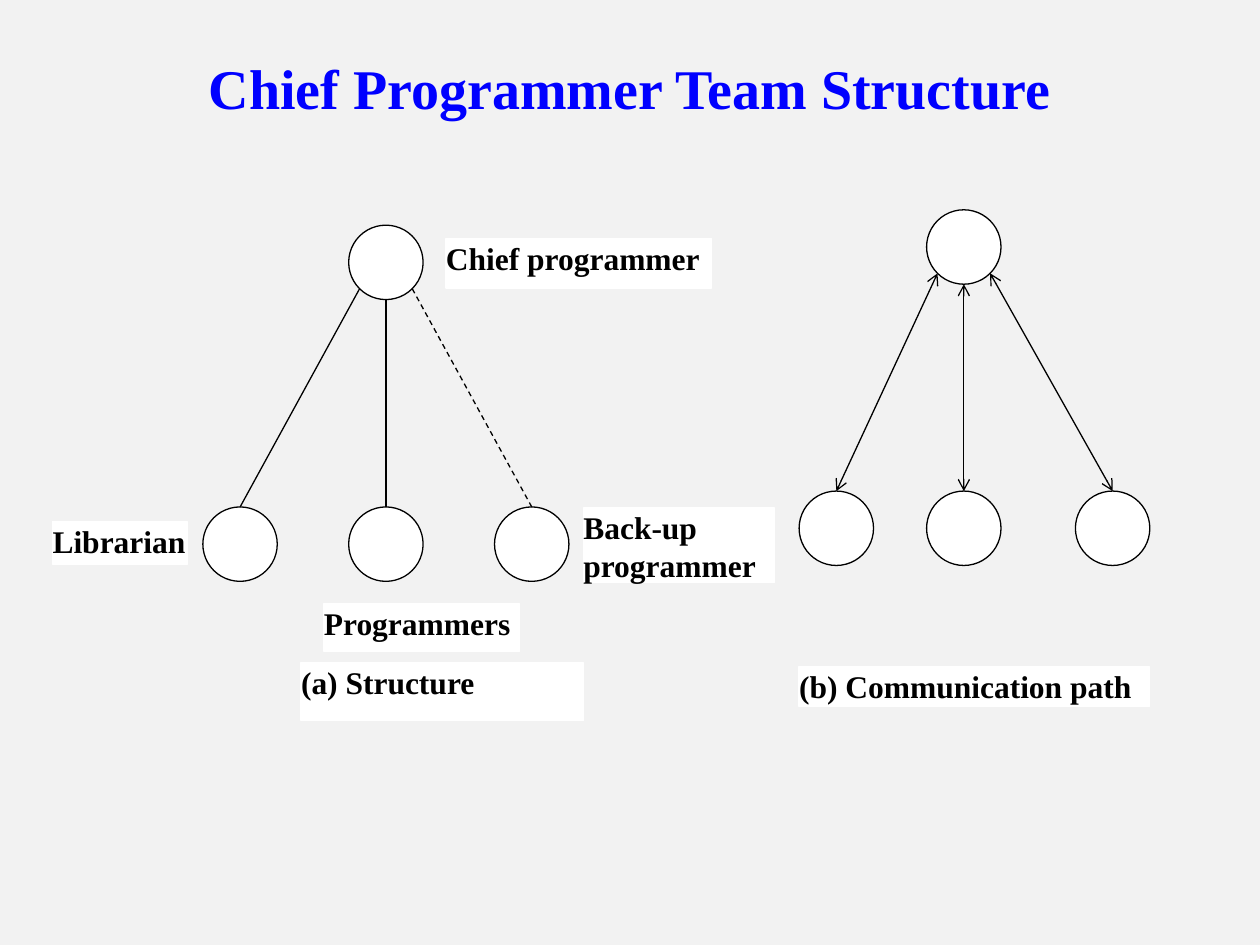
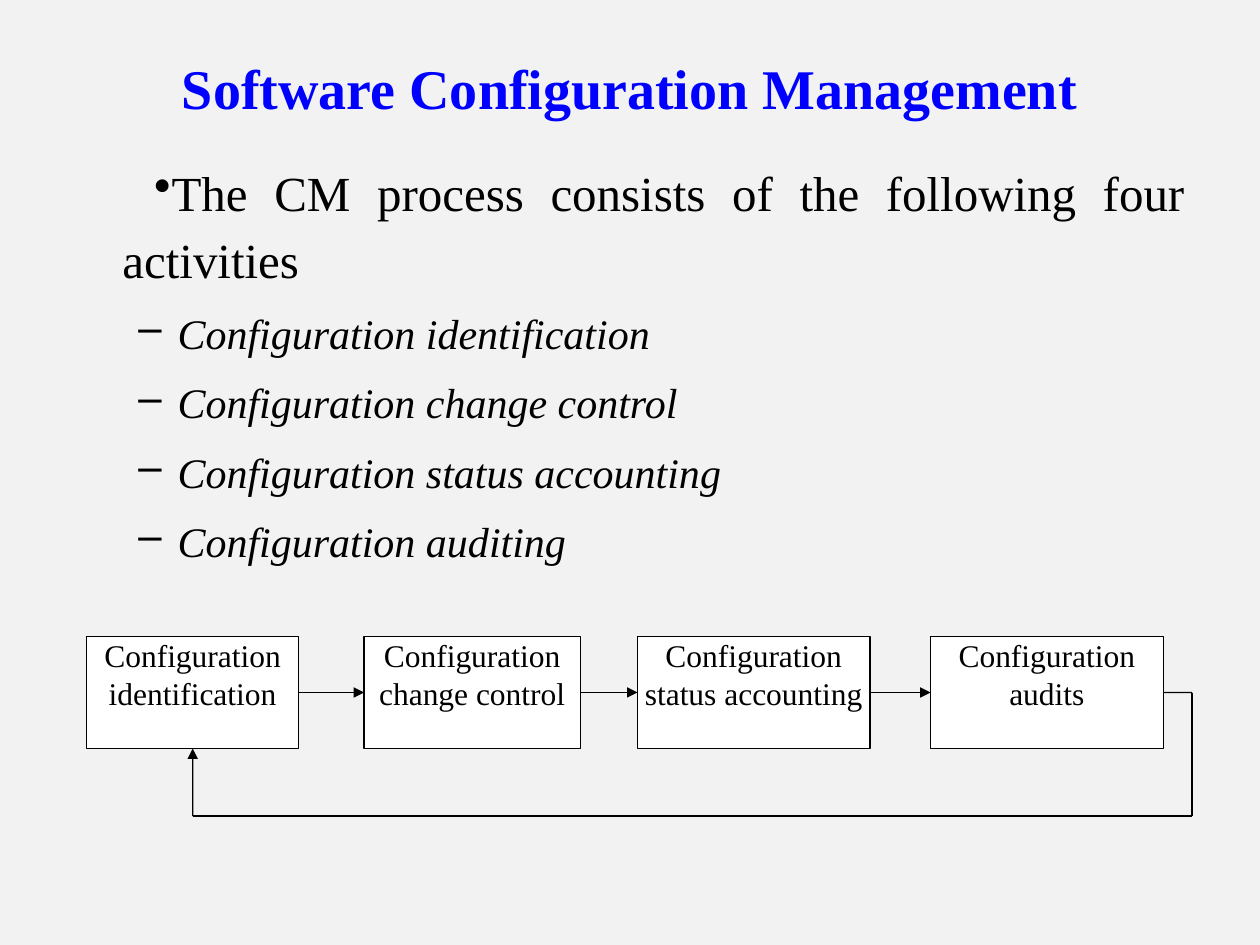
import math

from lxml import etree
from pptx import Presentation
from pptx.dml.color import RGBColor
from pptx.enum import dml, shapes, text
from pptx.oxml import ns
from pptx.util import Cm, Pt

BACKGROUND = RGBColor(0xF2, 0xF2, 0xF2)
BLUE = RGBColor(0x00, 0x00, 0xFF)
BLACK = RGBColor(0x00, 0x00, 0x00)
WHITE = RGBColor(0xFF, 0xFF, 0xFF)
FONT = "Times New Roman"
LINE_WIDTH = Pt(0.75)
DIAMETER = 1.5
RADIUS = DIAMETER / 2


def write(frame, content, size=18, bold=False, italic=False, color=BLACK,
          align=text.PP_ALIGN.LEFT, level=0, add=False):
    """Put content in the frame's first paragraph, or in a new one if add."""
    paragraph = frame.add_paragraph() if add else frame.paragraphs[0]
    paragraph.alignment = align
    paragraph.level = level
    run = paragraph.add_run()
    run.text = content
    run.font.name = FONT
    run.font.size = Pt(size)
    run.font.bold = bold
    run.font.italic = italic
    run.font.color.rgb = color
    return paragraph


def set_bullet(paragraph, mark, margin, indent):
    properties = paragraph._p.get_or_add_pPr()
    properties.set("marL", str(Cm(margin)))
    properties.set("indent", str(Cm(indent)))
    bullet = etree.SubElement(properties, ns.qn("a:buChar"))
    bullet.set("char", mark)


def add_text_area(slide, left, top, width, height):
    area = slide.shapes.add_textbox(Cm(left), Cm(top), Cm(width), Cm(height))
    area.text_frame.word_wrap = True
    return area.text_frame


def add_titled_slide(deck, title):
    slide = deck.slides.add_slide(deck.slide_layouts[6])
    slide.background.fill.solid()
    slide.background.fill.fore_color.rgb = BACKGROUND
    frame = add_text_area(slide, 1.27, 0.76, 22.86, 1.98)
    frame.vertical_anchor = text.MSO_ANCHOR.MIDDLE
    write(frame, title, size=32, bold=True, color=BLUE,
          align=text.PP_ALIGN.CENTER)
    return slide


def add_white_shape(slide, preset, left, top, width, height, outline=BLACK):
    shape = slide.shapes.add_shape(
        preset, Cm(left), Cm(top), Cm(width), Cm(height))
    shape.shadow.inherit = False
    shape.fill.solid()
    shape.fill.fore_color.rgb = WHITE
    shape.line.color.rgb = outline
    shape.line.width = LINE_WIDTH
    return shape


def add_box(slide, content, left, top, width, height, outline=WHITE, **style):
    box = add_white_shape(slide, shapes.MSO_SHAPE.RECTANGLE,
                          left, top, width, height, outline)
    frame = box.text_frame
    frame.margin_left = frame.margin_right = 0
    frame.margin_top = frame.margin_bottom = 0
    frame.word_wrap = True
    frame.vertical_anchor = text.MSO_ANCHOR.TOP
    write(frame, content, **style)
    return box


def add_member(slide, center_x, top):
    return add_white_shape(slide, shapes.MSO_SHAPE.OVAL, center_x - RADIUS, top,
                           DIAMETER, DIAMETER)


def add_line(slide, start=(0, 0), end=(0, 0), head=None, tail=None,
             dashed=False):
    line = slide.shapes.add_connector(
        shapes.MSO_CONNECTOR.STRAIGHT, *(Cm(value) for value in (*start, *end)))
    line.line.color.rgb = BLACK
    line.line.width = LINE_WIDTH
    if dashed:
        line.line.dash_style = dml.MSO_LINE.DASH
    outline = line.line._get_or_add_ln()
    for tag, arrow in (("a:headEnd", head), ("a:tailEnd", tail)):
        if arrow:
            etree.SubElement(outline, ns.qn(tag)).set("type", arrow)
    etree.SubElement(line._element.spPr, ns.qn("a:effectLst"))
    return line


def add_team(slide, chief_x, chief_top, report_xs, reports_top,
             dashed_report=None, arrow=None):
    """Draw a chief with a line to each report, from left to right."""
    add_member(slide, chief_x, chief_top)
    for number, report_x in enumerate(report_xs):
        report = add_member(slide, report_x, reports_top)
        angle = math.radians(135 - 45 * number)
        start = (chief_x + RADIUS * math.cos(angle),
                 chief_top + RADIUS + RADIUS * math.sin(angle))
        link = add_line(slide, start, (report_x, reports_top), head=arrow,
                        tail=arrow, dashed=number == dashed_report)
        link.end_connect(report, 0)


def build_team_slide(deck):
    slide = add_titled_slide(deck, "Chief Programmer Team Structure")
    add_team(slide, 7.78, 4.54, (4.84, 7.78, 10.72), 10.22, dashed_report=2)
    add_team(slide, 19.43, 4.23, (16.86, 19.43, 22.43), 9.9, arrow="arrow")
    for label, *place in (
        ("Chief programmer", 8.99, 4.81, 5.36, 1),
        ("Back-up programmer", 11.76, 10.24, 3.86, 1.5),
        ("Programmers", 6.53, 12.17, 3.94, 0.97),
        ("Librarian", 1.06, 10.52, 2.72, 0.86),
        ("(a) Structure", 6.07, 13.36, 5.69, 1.17),
        ("(b) Communication path", 16.11, 13.44, 7.06, 0.81),
    ):
        add_box(slide, label, *place, bold=True)


def add_activity_list(slide):
    frame = add_text_area(slide, 1.27, 2.97, 22.86, 15.44)
    intro = write(frame, "The CM process consists of the following four activities",
                  size=28, align=text.PP_ALIGN.JUSTIFY)
    intro.line_spacing = 1.15
    intro.space_before, intro.space_after = Pt(5.6), Pt(6)
    set_bullet(intro, "•", 0.95, 0.64)
    for activity in ("identification", "change control", "status accounting",
                     "auditing"):
        item = write(frame, f"Configuration {activity}", size=24, italic=True,
                     level=1, add=True)
        item.space_before, item.space_after = Pt(4.8), Pt(6)
        set_bullet(item, "–", 2.06, -0.79)


def add_activity_cycle(slide):
    top, height = 12.83, 2.26
    middle, bottom = top + height / 2, top + height
    steps = [
        add_box(slide, f"Configuration {activity}", left, top, width, height,
                outline=BLACK, align=text.PP_ALIGN.CENTER)
        for activity, left, width in (
            ("identification", 1.75, 4.27),
            ("change control", 7.34, 4.36),
            ("status accounting", 12.85, 4.69),
            ("audits", 18.76, 4.69),
        )
    ]
    for step, following in zip(steps, steps[1:]):
        arrow = add_line(slide, tail="triangle")
        arrow.begin_connect(step, 3)
        arrow.end_connect(following, 1)

    return_x, return_y, first_x = 24.03, 16.45, 1.75 + 4.27 / 2
    exit_line = add_line(slide, (23.45, middle), (return_x, middle))
    exit_line.begin_connect(steps[-1], 3)
    add_line(slide, (return_x, middle), (return_x, return_y))
    add_line(slide, (return_x, return_y), (first_x, return_y))
    entry_arrow = add_line(slide, (first_x, return_y), (first_x, bottom),
                           tail="triangle")
    entry_arrow.end_connect(steps[0], 2)


def build_configuration_slide(deck):
    slide = add_titled_slide(deck, "Software Configuration Management")
    add_activity_list(slide)
    add_activity_cycle(slide)


def main():
    deck = Presentation()
    deck.slide_width, deck.slide_height = Cm(25.4), Cm(19.05)
    build_team_slide(deck)
    build_configuration_slide(deck)
    deck.save("out.pptx")


if __name__ == "__main__":
    main()
